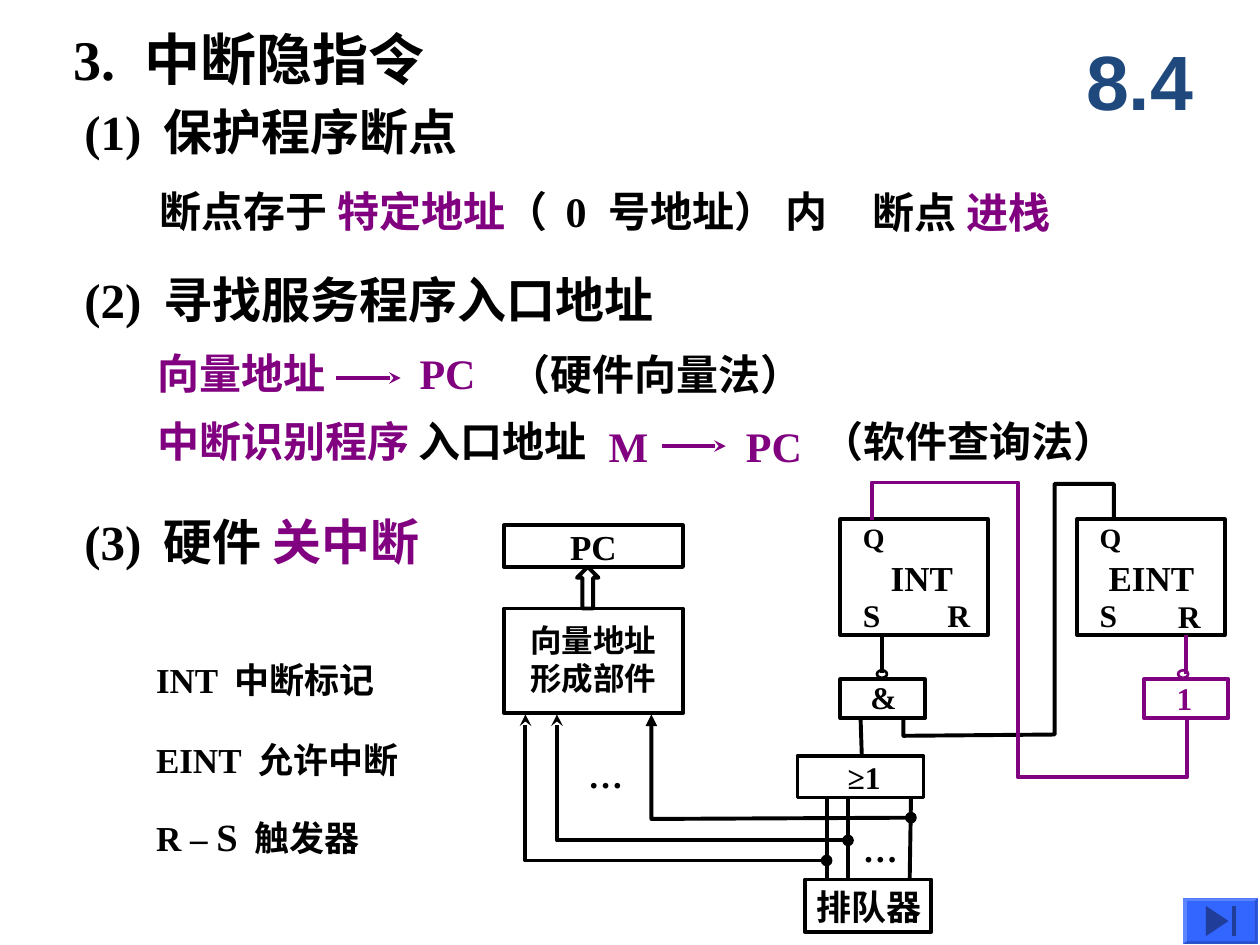
from lxml.etree import SubElement
from pptx import Presentation
from pptx.dml.color import RGBColor
from pptx.enum.shapes import MSO_CONNECTOR, MSO_SHAPE
from pptx.enum.text import MSO_ANCHOR, MSO_AUTO_SIZE, PP_ALIGN
from pptx.oxml.ns import qn
from pptx.util import Inches, Pt

BLACK, PURPLE, NAVY = "000000", "800080", "1F497D"
SERIF = "Times New Roman"

TITLE = ([[("3.\t中断隐指令", BLACK)]], 32, (0.57,))
HEADINGS = [
    ((0.67, 0.75, 6.58, 0.58), [("(1)\t保护程序断点", BLACK)], 28, (0.63,)),
    ((0.67, 2.08, 6.58, 0.58), [("(2)\t寻找服务程序入口地址", BLACK)], 28, (0.63,)),
    ((0.67, 3.92, 2.92, 0.75), [("(3)\t硬件 ", BLACK), ("关中断", PURPLE)], 28, (0.63,)),
    ((1.25, 2.67, 1.42, 0.58), [("向量地址", PURPLE)], 24, ()),
    ((3.33, 2.67, 0.5, 0.58), [("PC", PURPLE)], 24, ()),
    ((1.25, 3.21, 3.5, 0.58), [("中断识别程序 ", PURPLE), ("入口地址", BLACK)], 24, ()),
    ((4.83, 3.25, 0.5, 0.58), [("M", PURPLE)], 24, ()),
    ((5.92, 3.25, 0.5, 0.58), [("PC", PURPLE)], 24, ()),
]
NOTES = [
    ((1.17, 1.42, 5.83, 0.5),
     [("断点存于 ", BLACK), ("特定地址", PURPLE), ("（\t0\t号地址） 内", BLACK)], 24, (3.22, 3.56)),
    ((6.83, 1.43, 2.33, 0.5), [("断点 ", BLACK), ("进栈", PURPLE)], 24, ()),
    ((3.94, 2.72, 4.67, 0.5), [("（硬件向量法）", BLACK)], 24, ()),
    ((6.42, 3.25, 3.5, 0.5), [("（软件查询法）", BLACK)], 24, ()),
    ((1.14, 5.18, 1.94, 0.44), [("INT\t中断标记", BLACK)], 20, (0.62,)),
    ((1.14, 5.81, 2.13, 0.44), [("EINT\t允许中断", BLACK)], 20, (0.81,)),
    ((1.14, 6.4, 1.82, 0.47), [("R – ", BLACK), ("S", BLACK, 22), ("\t触发器", BLACK)], 20, (0.78,)),
    ((9.24, 5.34, 0.33, 0.4), [("1", PURPLE)], 18, ()),
    ((6.81, 5.33, 0.41, 0.4), [("&", BLACK)], 18, ()),
    ((6.63, 5.97, 0.46, 0.4), [("≥1", BLACK)], 18, ()),
    ((6.38, 6.98, 1.03, 0.44), [("排队器", BLACK)], 20, ()),
    ((4.57, 5.93, 0.48, 0.44), [("…", BLACK)], 20, ()),
    ((6.75, 6.52, 0.48, 0.44), [("…", BLACK)], 20, ()),
]
VECTOR_UNIT = [[("向量地址", BLACK)], [("形成部件", BLACK)]]
LATCHES = [
    (6.67, [("INT", 0.3, 4.37, 0.69, 20), ("R", 0.75, 4.68, 0.38, 18)]),
    (8.55, [("EINT", 0.15, 4.37, 0.88, 20), ("R", 0.7, 4.69, 0.38, 18)]),
]
LATCH_PINS = [("S", 0.08, 4.68, 0.34, 18), ("Q", 0.08, 4.08, 0.37, 16)]
BLOCKS = [
    ((4, 4.83, 1.42, 0.83), BLACK),
    ((9.08, 5.39, 0.67, 0.31), PURPLE),
    ((6.67, 5.39, 0.67, 0.31), BLACK),
    ((6.33, 6, 1, 0.33), BLACK),
    ((6.39, 6.98, 1, 0.42), BLACK),
]
BUBBLES = [((9.35, 5.32, 0.08, 0.06), PURPLE), ((6.96, 5.32, 0.08, 0.06), BLACK)]
WIRES = [
    ([(9.41, 5.04), (9.41, 5.35)], PURPLE, None, None),
    ([(7, 5.03), (7, 5.34)], BLACK, None, None),
    ([(6.83, 5.7), (6.84, 6)], BLACK, None, None),
    ([(6.56, 6.33), (6.56, 6.98)], BLACK, None, None),
    ([(6.73, 6.33), (6.73, 6.98)], BLACK, None, None),
    ([(7.23, 6.34), (7.22, 6.98)], BLACK, None, None),
    ([(2.67, 3), (3.18, 3)], PURPLE, None, "stealth"),
    ([(5.25, 3.54), (5.76, 3.54)], PURPLE, None, "stealth"),
    ([(5.17, 5.67), (5.17, 6.5), (7.23, 6.49)], BLACK, "triangle", "oval"),
    ([(4.42, 5.67), (4.42, 6.67), (6.73, 6.67)], BLACK, "stealth", "oval"),
    ([(4.17, 5.67), (4.17, 6.83), (6.56, 6.83)], BLACK, "stealth", "oval"),
    ([(7.17, 5.7), (7.17, 5.84), (8.37, 5.83), (8.37, 3.84), (8.84, 3.84), (8.84, 4.11)],
     BLACK, None, None),
    ([(9.42, 5.71), (9.42, 6.17), (8.08, 6.17), (8.08, 3.83), (6.92, 3.83), (6.92, 4.13)],
     PURPLE, None, None),
]
BUTTON_OUTER = [(9.39, 7.13), (9.98, 7.13), (9.98, 7.49), (9.39, 7.49)]
BUTTON_INNER = [(9.42, 7.15), (9.96, 7.15), (9.96, 7.47), (9.42, 7.47)]
BUTTON_FACE, BUTTON_ICON = "3366FF", "1F3D99"
BEVELS = ["5C85FF", "2952CC", "2952CC", "5C85FF"]
ICON_PARTS = [
    [(9.75, 7.31), (9.57, 7.43), (9.57, 7.19)],
    [(9.78, 7.19), (9.78, 7.43), (9.81, 7.43), (9.81, 7.19)],
]


def rgb(value):
    """Turn a hex string into a colour."""
    return RGBColor.from_string(value)


def place(shape, box):
    """Move a shape to a box given in inches."""
    shape.left, shape.top, shape.width, shape.height = map(Inches, box)


def write(shape, paragraphs, size, tabs=(), inset=0.1, anchor=MSO_ANCHOR.TOP,
          align=PP_ALIGN.LEFT, font_name=SERIF):
    """Fill a shape with bold paragraphs made of coloured runs."""
    frame = shape.text_frame
    frame.word_wrap = False
    frame.auto_size = MSO_AUTO_SIZE.NONE
    frame.vertical_anchor = anchor
    frame.margin_left = frame.margin_right = Inches(inset)
    frame.margin_top = frame.margin_bottom = Inches(0.05)
    for index, runs in enumerate(paragraphs):
        paragraph = frame.add_paragraph() if index else frame.paragraphs[0]
        paragraph.alignment = align
        if tabs:
            tab_list = SubElement(paragraph._p.get_or_add_pPr(), qn("a:tabLst"))
            for stop in tabs:
                SubElement(tab_list, qn("a:tab"), pos=str(Inches(stop)), algn="l")
        font = paragraph.font
        font.name, font.size, font.bold = font_name, Pt(size), True
        font.color.rgb = rgb(runs[0][1])
        for text, color, *run_size in runs:
            run = paragraph.add_run()
            run.text = text
            if color != runs[0][1]:
                run.font.color.rgb = rgb(color)
            if run_size:
                run.font.size = Pt(run_size[0])


def add_text(slide, box, paragraphs, size, **options):
    """Add a text box."""
    shape = slide.shapes.add_textbox(*map(Inches, box))
    write(shape, paragraphs, size, **options)


def add_outline(slide, kind, box, color, width=2.25):
    """Add an unfilled preset shape."""
    shape = slide.shapes.add_shape(kind, *map(Inches, box))
    shape.shadow.inherit = False
    shape.fill.background()
    shape.line.color.rgb = rgb(color)
    shape.line.width = Pt(width)
    return shape


def add_path(slide, points, close):
    """Add a freeform through points given in inches."""
    corners = [(Inches(x), Inches(y)) for x, y in points]
    builder = slide.shapes.build_freeform(*corners[0], scale=1.0)
    builder.add_line_segments(corners[1:], close=close)
    shape = builder.convert_to_shape()
    shape.shadow.inherit = False
    return shape


def add_polygon(slide, points, color):
    """Add a filled polygon without a line."""
    shape = add_path(slide, points, True)
    shape.fill.solid()
    shape.fill.fore_color.rgb = rgb(color)
    shape.line.fill.background()


def add_wire(slide, points, color, head, tail):
    """Add a straight or bent wire with optional line ends."""
    if len(points) == 2:
        ends = [Inches(value) for point in points for value in point]
        wire = slide.shapes.add_connector(MSO_CONNECTOR.STRAIGHT, *ends)
        SubElement(wire._element.spPr, qn("a:effectLst"))
    else:
        wire = add_path(slide, points, False)
        wire.fill.background()
    wire.line.color.rgb = rgb(color)
    wire.line.width = Pt(2.25)
    for tag, kind in (("a:headEnd", head), ("a:tailEnd", tail)):
        if kind:
            SubElement(wire.line._get_or_add_ln(), qn(tag), type=kind)


def main():
    """Build the slide and save it."""
    presentation = Presentation()
    presentation.slide_width, presentation.slide_height = Inches(10), Inches(7.5)
    slide = presentation.slides.add_slide(presentation.slide_layouts[5])
    title = slide.shapes.title
    place(title, (0.58, 0.17, 4.25, 0.58))
    write(title, *TITLE, inset=0, anchor=MSO_ANCHOR.MIDDLE)

    for box, color in BLOCKS:
        add_outline(slide, MSO_SHAPE.RECTANGLE, box, color)
    for box, color in BUBBLES:
        add_outline(slide, MSO_SHAPE.OVAL, box, color, 1.5)
    for left, labels in LATCHES:
        add_outline(slide, MSO_SHAPE.RECTANGLE, (left, 4.12, 1.17, 0.92), BLACK)
        for text, offset, top, width, size in labels + LATCH_PINS:
            add_text(slide, (left + offset, top, width, 0.4), [[(text, BLACK)]], size)
    counter = add_outline(slide, MSO_SHAPE.RECTANGLE, (4, 4.17, 1.42, 0.33), BLACK)
    write(counter, [[("PC", BLACK)]], 20, anchor=MSO_ANCHOR.MIDDLE, align=PP_ALIGN.CENTER)
    add_outline(slide, MSO_SHAPE.UP_ARROW, (4.58, 4.5, 0.17, 0.33), BLACK)
    for wire in WIRES:
        add_wire(slide, *wire)

    for box, runs, size, tabs in HEADINGS:
        add_text(slide, box, [runs], size, tabs=tabs, inset=0, anchor=MSO_ANCHOR.MIDDLE)
    for box, runs, size, tabs in NOTES:
        add_text(slide, box, [runs], size, tabs=tabs)
    add_text(slide, (4.11, 4.88, 1.2, 0.7), VECTOR_UNIT, 18)
    add_text(slide, (8.42, 0.17, 1.25, 0.92), [[("8.4", NAVY)]], 44,
             anchor=MSO_ANCHOR.MIDDLE, align=PP_ALIGN.CENTER, font_name="Arial")

    add_polygon(slide, BUTTON_OUTER, BUTTON_FACE)
    for side, color in enumerate(BEVELS):
        after = (side + 1) % 4
        add_polygon(slide, [BUTTON_OUTER[side], BUTTON_OUTER[after],
                            BUTTON_INNER[after], BUTTON_INNER[side]], color)
    for points in ICON_PARTS:
        add_polygon(slide, points, BUTTON_ICON)
    presentation.save("out.pptx")


if __name__ == "__main__":
    main()
